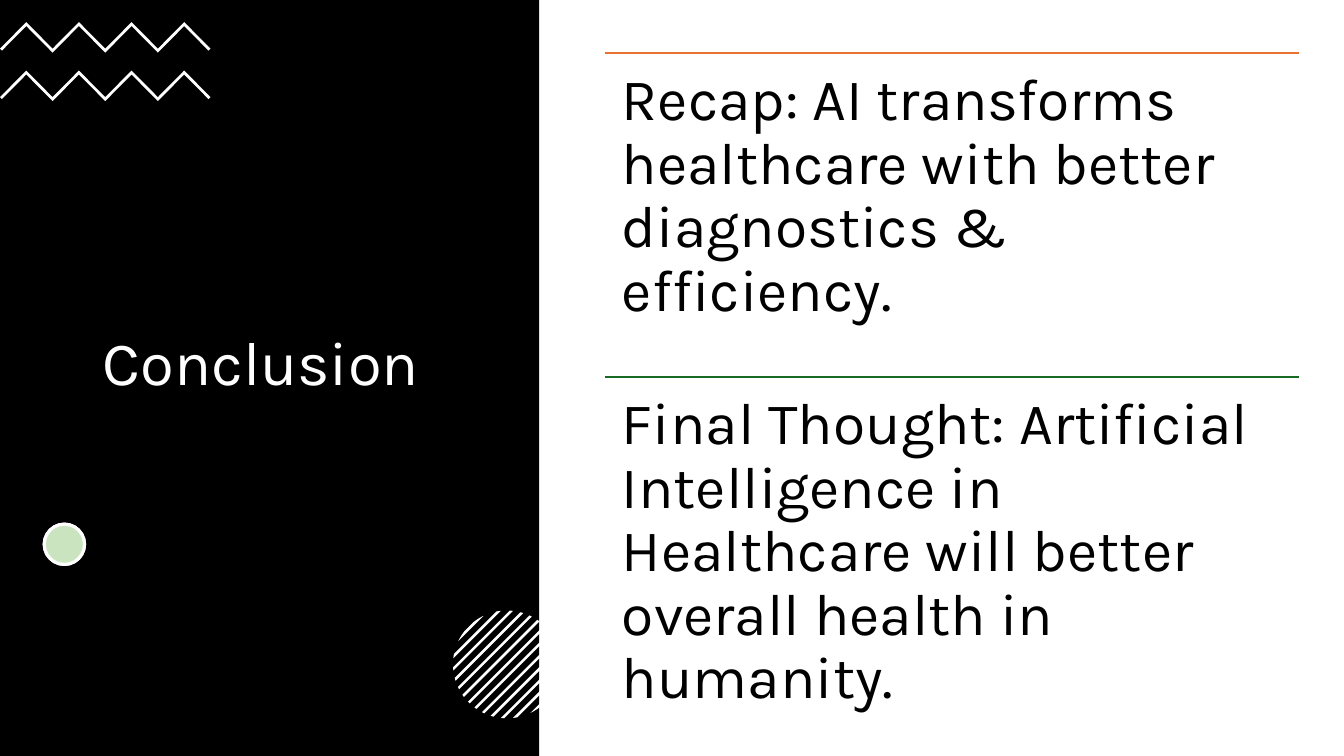
import math
from dataclasses import dataclass

from lxml import etree
from pptx import Presentation
from pptx.dml.color import RGBColor
from pptx.enum.shapes import MSO_CONNECTOR, MSO_SHAPE
from pptx.enum.text import MSO_ANCHOR, MSO_AUTO_SIZE, PP_ALIGN
from pptx.oxml.ns import qn
from pptx.util import Pt

STRAIGHT = MSO_CONNECTOR.STRAIGHT
RECTANGLE = MSO_SHAPE.RECTANGLE
OVAL = MSO_SHAPE.OVAL
MIDDLE = MSO_ANCHOR.MIDDLE
TOP = MSO_ANCHOR.TOP
NO_AUTOFIT = MSO_AUTO_SIZE.NONE
LEFT = PP_ALIGN.LEFT

COLORS = {
    "black": "000000",
    "white": "FFFFFF",
    "orange": "E97132",
    "dark_green": "196B24",
    "light_green": "4EA72E",
}
FONT = "Karla"
SLIDE_WIDTH, SLIDE_HEIGHT = 960, 540
PANEL_WIDTH = 385.2

ZIGZAG_TOPS = (15.8, 50.4)
ZIGZAG_STEP, ZIGZAG_HEIGHT, ZIGZAG_THICKNESS = 18.8, 19, 2.8
ZIGZAG_CORNERS = 9

DISC_X, DISC_Y, DISC_RADIUS = 362.1, 474.6, 38.5
STRIPE_GAP, STRIPE_HALF_WIDTH = 6.21, 0.9
STRIPES_PER_SIDE = 6
ARC_STEPS = 6

STATEMENT_LEFT, STATEMENT_WIDTH, STATEMENT_HEIGHT = 432, 496.1, 231.4
STATEMENT_INSET = 12.24


@dataclass(frozen=True)
class Statement:
    text: str
    top: float
    rule_color: str


@dataclass(frozen=True)
class Dot:
    color: str
    opacity: int


STATEMENTS = (
    Statement(
        "Recap: AI transforms healthcare with better diagnostics & efficiency.",
        37.6,
        "orange",
    ),
    Statement(
        "Final Thought: Artificial Intelligence in Healthcare will better "
        "overall health in humanity.",
        269,
        "dark_green",
    ),
)
DOTS = (Dot("white", 100), Dot("light_green", 30))


def color(name: str) -> RGBColor:
    return RGBColor.from_string(COLORS[name])


def apply_format(target, values: dict) -> None:
    for name, value in values.items():
        setattr(target, name, value)


def fill_shape(shape, name: str) -> None:
    shape.shadow.inherit = False
    shape.fill.solid()
    shape.fill.fore_color.rgb = color(name)
    shape.line.fill.background()


def write_text(shape, text: str, size: float, color_name: str, frame_format: dict) -> None:
    frame = shape.text_frame
    frame.text = text
    apply_format(frame, {"word_wrap": True, "auto_size": NO_AUTOFIT, **frame_format})
    paragraph = frame.paragraphs[0]
    apply_format(paragraph, {"alignment": LEFT, "line_spacing": 0.9})
    font = paragraph.runs[0].font
    apply_format(font, {"name": FONT, "size": Pt(size), "bold": False})
    font.color.rgb = color(color_name)


def draw_outline(shapes, points: list[tuple[float, float]]) -> None:
    corners = [(Pt(x), Pt(y)) for x, y in points]
    builder = shapes.build_freeform(*corners[0], scale=1.0)
    builder.add_line_segments(corners[1:], close=True)
    fill_shape(builder.convert_to_shape(), "white")


def zigzag_points(top: float) -> list[tuple[float, float]]:
    upper = [
        (index * ZIGZAG_STEP, top + (ZIGZAG_HEIGHT if index % 2 == 0 else 0))
        for index in range(ZIGZAG_CORNERS)
    ]
    lower = [(x, y + ZIGZAG_THICKNESS) for x, y in reversed(upper[1:-1])]
    half = ZIGZAG_THICKNESS / 2
    start, end = upper[0], upper[-1]
    return [
        *upper,
        (end[0] - half, end[1] + half),
        *lower,
        (start[0] + half, start[1] + half),
    ]


def stripe_points(index: int) -> list[tuple[float, float]]:
    first = index * STRIPE_GAP - STRIPE_HALF_WIDTH
    spreads = [
        math.acos((first + 2 * STRIPE_HALF_WIDTH * step / ARC_STEPS) / DISC_RADIUS)
        for step in range(ARC_STEPS + 1)
    ]
    angles = [math.pi / 4 + spread for spread in spreads]
    angles += [math.pi / 4 - spread for spread in reversed(spreads)]
    return [
        (DISC_X + DISC_RADIUS * math.cos(angle), DISC_Y + DISC_RADIUS * math.sin(angle))
        for angle in angles
    ]


def draw_dot(shapes, dot: Dot) -> None:
    shape = shapes.add_shape(OVAL, Pt(31.6), Pt(374.4), Pt(28.8), Pt(28.8))
    fill_shape(shape, dot.color)
    shape.line.color.rgb = color("white")
    shape.line.width = Pt(2.25)
    if dot.opacity < 100:
        fill_color = shape.element.spPr.find(qn("a:solidFill"))[0]
        etree.SubElement(fill_color, qn("a:alpha"), val=str(dot.opacity * 1000))


def draw_statement(shapes, statement: Statement) -> None:
    left, top, width = Pt(STATEMENT_LEFT), Pt(statement.top), Pt(STATEMENT_WIDTH)
    rule = shapes.add_connector(STRAIGHT, left, top, left + width, top)
    rule.line.color.rgb = color(statement.rule_color)
    rule.line.width = Pt(1.5)
    etree.SubElement(rule.element.spPr, qn("a:effectLst"))
    box = shapes.add_textbox(left, top, width, Pt(STATEMENT_HEIGHT))
    insets = {
        f"margin_{side}": Pt(STATEMENT_INSET)
        for side in ("left", "top", "right", "bottom")
    }
    write_text(box, statement.text, 42, "black", {"vertical_anchor": TOP, **insets})


def main() -> None:
    presentation = Presentation()
    presentation.slide_width = Pt(SLIDE_WIDTH)
    presentation.slide_height = Pt(SLIDE_HEIGHT)
    slide = presentation.slides.add_slide(presentation.slide_layouts.get_by_name("Title Only"))
    shapes = slide.shapes

    title = shapes.title
    apply_format(
        title,
        {"left": Pt(66.2), "top": Pt(94.3), "width": Pt(252), "height": Pt(333.4)},
    )
    write_text(title, "Conclusion", 44, "white", {"vertical_anchor": MIDDLE})

    panel = shapes.add_shape(RECTANGLE, 0, 0, Pt(PANEL_WIDTH), Pt(SLIDE_HEIGHT))
    fill_shape(panel, "black")
    title.element.addprevious(panel.element)

    zigzags = shapes.add_group_shape()
    for top in ZIGZAG_TOPS:
        draw_outline(zigzags.shapes, zigzag_points(top))
    for dot in DOTS:
        draw_dot(shapes, dot)
    striped_disc = shapes.add_group_shape()
    for index in range(-STRIPES_PER_SIDE, STRIPES_PER_SIDE + 1):
        draw_outline(striped_disc.shapes, stripe_points(index))
    for statement in STATEMENTS:
        draw_statement(shapes, statement)

    presentation.save("out.pptx")


if __name__ == "__main__":
    main()
